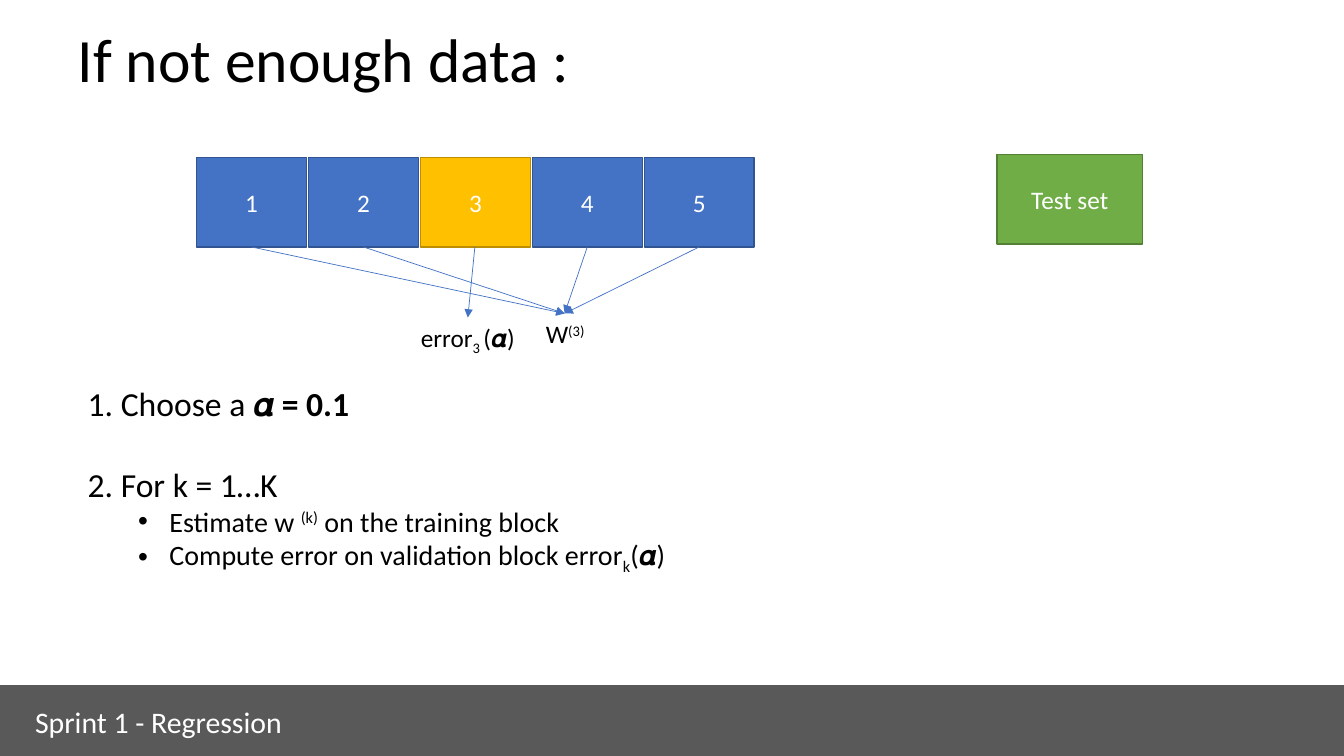
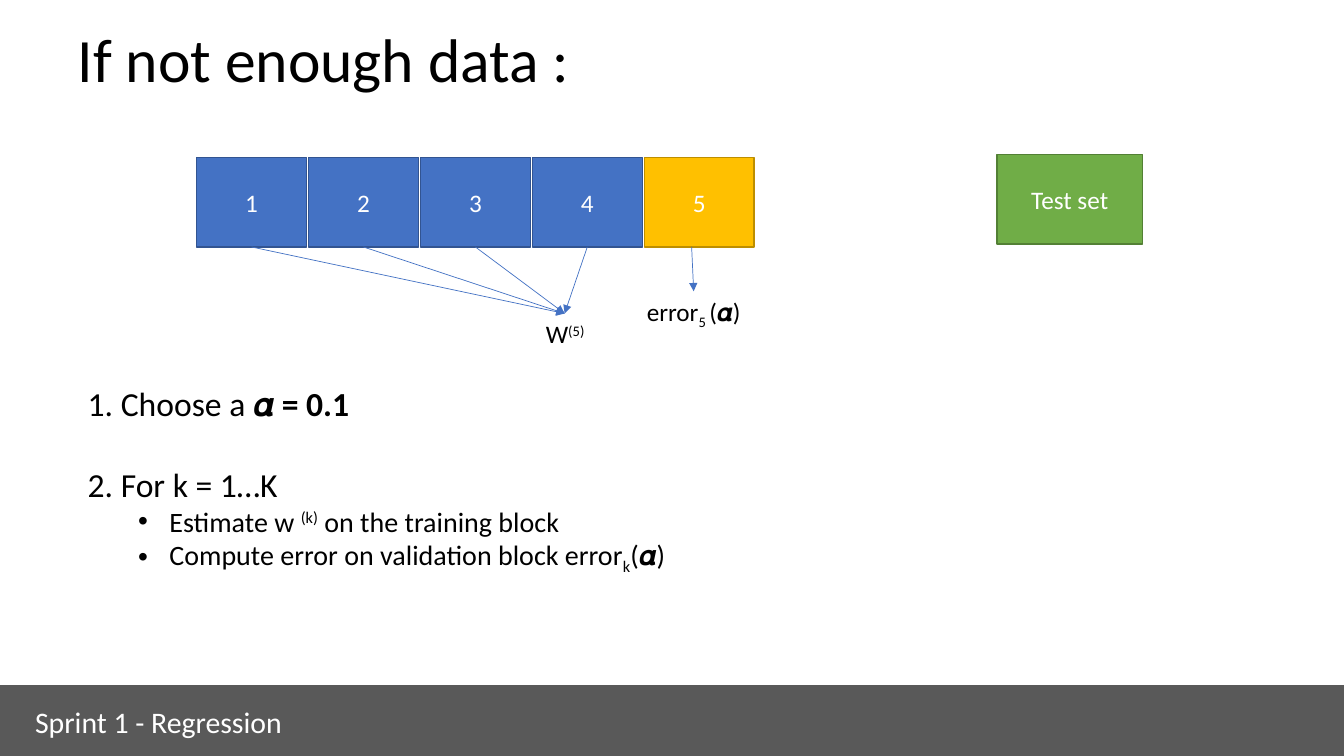
from dataclasses import dataclass
from typing import NamedTuple, Optional, Sequence

from lxml.etree import SubElement
from pptx import Presentation
from pptx.dml.color import RGBColor
from pptx.enum.shapes import MSO_CONNECTOR as Connector, MSO_SHAPE as Shape
from pptx.enum.text import MSO_ANCHOR as Anchor, MSO_AUTO_SIZE as AutoSize, PP_ALIGN as Align
from pptx.oxml.ns import qn
from pptx.util import Inches, Pt

# Shared look
FONT = "Calibri"
BLACK = RGBColor(0x00, 0x00, 0x00)
WHITE = RGBColor(0xFF, 0xFF, 0xFF)
GREY = RGBColor(0x59, 0x59, 0x59)
BLUE = RGBColor(0x44, 0x72, 0xC4)
DARK_BLUE = RGBColor(0x32, 0x54, 0x91)
GOLD = RGBColor(0xFF, 0xC0, 0x00)
DARK_GOLD = RGBColor(0xBD, 0x8E, 0x00)
GREEN = RGBColor(0x70, 0xAD, 0x47)
DARK_GREEN = RGBColor(0x53, 0x80, 0x35)

SUPER, SUB = 30, -25
TITLE = "If not enough data :"
FOOTER = "Sprint 1 - Regression"


class Box(NamedTuple):
    left: float
    top: float
    width: float
    height: float


class Span(NamedTuple):
    text: str
    bold: bool = False
    baseline: int = 0


class Line(NamedTuple):
    spans: Sequence[Span]
    size: float = 18
    bullet: bool = False
    before: float = 0


class Point(NamedTuple):
    x: float
    y: float


@dataclass(frozen=True)
class Fold:
    """One round of cross-validation and where its error label goes."""
    held_out: int
    error_from: float
    error_to: Point


SLIDE_WIDTH, SLIDE_HEIGHT = 13.33, 7.5
BLOCK_COUNT = 5
FIRST_BLOCK = Box(1.95, 1.56, 1.09, 0.89)
BLOCK_STEP = 1.11
BLOCK_BOTTOM = FIRST_BLOCK.top + FIRST_BLOCK.height
WEIGHT_POINT = Point(5.6, 3.11)
ALPHA = Span("𝜶", bold=True)

FOLDS = [
    Fold(held_out=3, error_from=4.71, error_to=Point(4.64, 3.15)),
    Fold(held_out=5, error_from=6.86, error_to=Point(6.88, 2.89)),
]

STEPS = [
    Line([Span("1. Choose a "), ALPHA, Span(" = 0.1", bold=True)], 24),
    Line([Span("2. For k = 1…K")], 24, before=29),
    Line([Span("Estimate w "), Span("(k)", baseline=SUPER),
          Span(" on the training block")], 20, bullet=True),
    Line([Span("Compute error on validation block error"), Span("k", baseline=SUB),
          Span("("), ALPHA, Span(")")], 20, bullet=True),
]


def inches(box: Sequence[float]) -> list:
    return [Inches(value) for value in box]


def write(frame, lines: Sequence[Line], *, color: RGBColor = BLACK, align=Align.LEFT,
          anchor=Anchor.TOP, spacing: Optional[float] = None) -> None:
    """Fill a text frame with formatted lines."""
    frame.word_wrap = True
    frame.auto_size = AutoSize.NONE
    frame.vertical_anchor = anchor
    for index, line in enumerate(lines):
        para = frame.add_paragraph() if index else frame.paragraphs[0]
        para.alignment = align
        para.space_before = Pt(line.before)
        para.level = int(line.bullet)
        if spacing:
            para.line_spacing = spacing
        set_bullet(para, line.bullet)
        for span in line.spans:
            run = para.add_run()
            run.text = span.text
            run.font.name = FONT
            run.font.size = Pt(line.size)
            run.font.bold = span.bold
            run.font.color.rgb = color
            if span.baseline:
                run._r.get_or_add_rPr().set("baseline", str(span.baseline * 1000))


def set_bullet(para, bullet: bool) -> None:
    properties = para._p.get_or_add_pPr()
    properties.set("marL", str(Inches(0.81 if bullet else 0)))
    properties.set("indent", str(Inches(-0.31 if bullet else 0)))
    if bullet:
        SubElement(properties, qn("a:buFont")).set("typeface", "Arial")
        SubElement(properties, qn("a:buChar")).set("char", "•")
    else:
        SubElement(properties, qn("a:buNone"))


def add_block(page, box: Box, fill: RGBColor, edge: RGBColor, text: str = "") -> None:
    block = page.shapes.add_shape(Shape.RECTANGLE, *inches(box))
    block.shadow.inherit = False
    block.fill.solid()
    block.fill.fore_color.rgb = fill
    block.line.color.rgb = edge
    block.line.width = Pt(1)
    if text:
        write(block.text_frame, [Line([Span(text)])], color=WHITE,
              align=Align.CENTER, anchor=Anchor.MIDDLE)


def add_label(page, box: Box, line: Line, color: RGBColor = BLACK, align=Align.CENTER) -> None:
    label = page.shapes.add_textbox(*inches(box))
    write(label.text_frame, [line], color=color, align=align)


def add_arrow(page, start: Point, end: Point) -> None:
    arrow = page.shapes.add_connector(Connector.STRAIGHT, *inches(start), *inches(end))
    arrow.line.color.rgb = BLUE
    arrow.line.width = Pt(0.5)
    SubElement(arrow.line._get_or_add_ln(), qn("a:tailEnd")).set("type", "triangle")
    SubElement(arrow._element.spPr, qn("a:effectLst"))


def place(placeholder, box: Box) -> None:
    (placeholder.left, placeholder.top,
     placeholder.width, placeholder.height) = inches(box)


def add_frame(page) -> None:
    """Title, numbered steps and footer band."""
    title, body = page.shapes.title, page.placeholders[1]
    place(title, Box(0.67, 0, 12, 1.25))
    write(title.text_frame, [Line([Span(TITLE)], 44)], anchor=Anchor.MIDDLE, spacing=0.9)
    place(body, Box(0.77, 3.75, 7.5, 1.99))
    write(body.text_frame, STEPS)
    add_block(page, Box(0, 6.8, SLIDE_WIDTH, 0.7), GREY, GREY)
    add_label(page, Box(0.25, 6.93, 3.36, 0.46), Line([Span(FOOTER)], 21.3), WHITE, Align.LEFT)


def add_fold(page, fold: Fold) -> None:
    """Data blocks, with arrows to the weights and to the error."""
    add_block(page, Box(9.89, 1.53, 1.44, 0.89), GREEN, DARK_GREEN, "Test set")
    for number in range(1, BLOCK_COUNT + 1):
        left = FIRST_BLOCK.left + (number - 1) * BLOCK_STEP
        held_out = number == fold.held_out
        fill, edge = (GOLD, DARK_GOLD) if held_out else (BLUE, DARK_BLUE)
        add_block(page, FIRST_BLOCK._replace(left=left), fill, edge, str(number))
        if not held_out:
            center = left + FIRST_BLOCK.width / 2
            add_arrow(page, Point(center, BLOCK_BOTTOM), WEIGHT_POINT)
    add_arrow(page, Point(fold.error_from, BLOCK_BOTTOM), fold.error_to)

    add_label(page, Box(5.05, WEIGHT_POINT.y, 1.11, 0.4),
              Line([Span("W"), Span(f"({fold.held_out})", baseline=SUPER)]))
    error_width = 1.48
    add_label(page, Box(fold.error_to.x - error_width / 2, fold.error_to.y, error_width, 0.4),
              Line([Span("error"), Span(f"{fold.held_out} ", baseline=SUB),
                    Span("("), ALPHA, Span(")")]))


def main() -> None:
    deck = Presentation()
    deck.slide_width, deck.slide_height = Inches(SLIDE_WIDTH), Inches(SLIDE_HEIGHT)
    for fold in FOLDS:
        page = deck.slides.add_slide(deck.slide_layouts[1])
        add_frame(page)
        add_fold(page, fold)
    deck.save("out.pptx")


if __name__ == "__main__":
    main()
